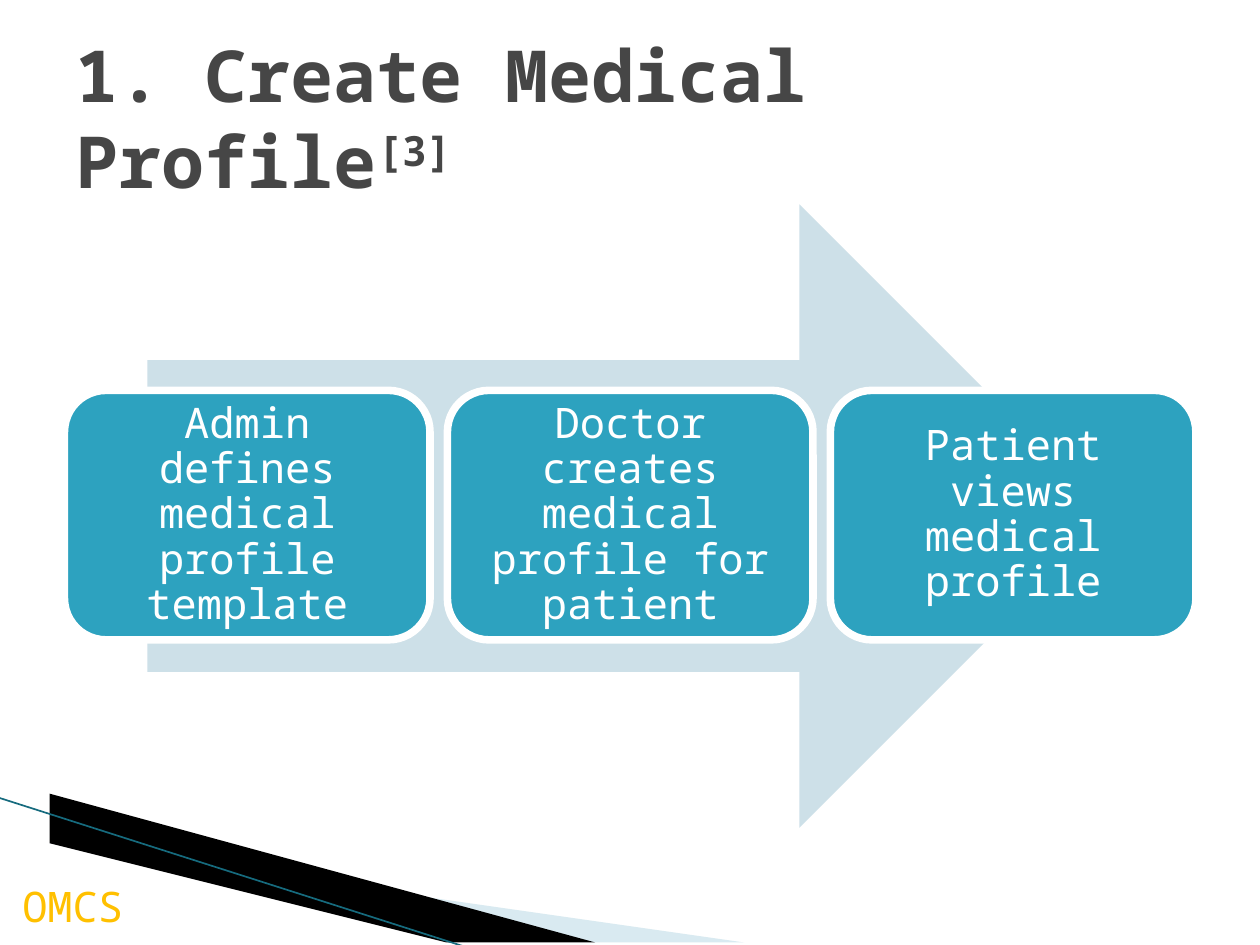
from lxml import etree
from pptx import Presentation
from pptx import util as u
from pptx.dml.color import RGBColor
from pptx.enum import shapes, text
from pptx.oxml.ns import qn
from pptx.util import Cm

FONT = "Noto Sans Mono"
WHITE = RGBColor(0xFF, 0xFF, 0xFF)
BLACK = RGBColor(0x00, 0x00, 0x00)
GREY = RGBColor(0x46, 0x46, 0x46)
AMBER = RGBColor(0xFF, 0xC0, 0x00)
TEAL = RGBColor(0x2D, 0xA2, 0xBF)
DARK_TEAL = RGBColor(0x16, 0x6B, 0x7E)
PALE_BLUE = RGBColor(0xCD, 0xE0, 0xE8)
SKY = RGBColor(0xA0, 0xCB, 0xDC)

STEPS = [
    "Admin defines medical profile template",
    "Doctor creates medical profile for patient",
    "Patient views medical profile",
]
STEP_LEFT, STEP_PITCH = 1.3, 7.72


def set_font(p, size, color, bold=False):
    p.font.name = FONT
    p.font.size = u.Pt(size)
    p.font.color.rgb = color
    p.font.bold = bold


def add_wedge(slide, points, color, opacity=None):
    builder = slide.shapes.build_freeform(*points[0], scale=Cm(1))
    builder.add_line_segments(points[1:], close=True)
    sp = builder.convert_to_shape()
    sp.shadow.inherit = False
    sp.fill.solid()
    sp.fill.fore_color.rgb = color
    sp.line.fill.background()
    if opacity is not None:
        clr = sp.fill._xPr.find(qn("a:solidFill"))[0]
        etree.SubElement(clr, qn("a:alpha")).set("val", str(opacity * 1000))


def add_edge(slide, x1, y1, x2, y2):
    line = slide.shapes.add_connector(
        shapes.MSO_CONNECTOR.STRAIGHT, Cm(x1), Cm(y1), Cm(x2), Cm(y2))
    line.line.color.rgb = DARK_TEAL
    line.line.width = u.Pt(0.95)
    etree.SubElement(line._element.spPr, qn("a:effectLst"))


def add_shape(slide, kind, left, top, width, height, color):
    sp = slide.shapes.add_shape(kind, Cm(left), Cm(top), Cm(width), Cm(height))
    sp.shadow.inherit = False
    sp.fill.solid()
    sp.fill.fore_color.rgb = color
    sp.line.fill.background()
    return sp


def add_step(slide, left, label):
    sp = add_shape(slide, shapes.MSO_SHAPE.ROUNDED_RECTANGLE,
                   left, 7.87, 7.37, 5.03, TEAL)
    sp.line.color.rgb = WHITE
    sp.line.width = u.Pt(4.33)
    tf = sp.text_frame
    tf.word_wrap = True
    tf.vertical_anchor = text.MSO_ANCHOR.MIDDLE
    tf.margin_left = tf.margin_right = Cm(0.25)
    tf.margin_top = tf.margin_bottom = Cm(0.25)
    p = tf.paragraphs[0]
    p.text = label
    p.alignment = text.PP_ALIGN.CENTER
    p.line_spacing = 0.9
    set_font(p, 24, WHITE)


def add_text(slide, left, top, width, height, label, size, color,
             bold=False, wrap=True):
    box = slide.shapes.add_textbox(Cm(left), Cm(top), Cm(width), Cm(height))
    tf = box.text_frame
    tf.word_wrap = wrap
    p = tf.paragraphs[0]
    p.add_run().text = label
    set_font(p, size, color, bold)
    return tf


def main():
    prs = Presentation()
    prs.slide_width, prs.slide_height = Cm(25.4), Cm(19.05)
    slide = prs.slides.add_slide(prs.slide_layouts[6])

    # Corner decoration
    add_wedge(slide, [(1.4, 16.53), (15.11, 19.08), (11.58, 19.08),
                      (1.4, 16.51)], SKY, opacity=40)
    add_wedge(slide, [(1.35, 16.48), (11.61, 19.08), (9.45, 19.1),
                      (1.37, 16.51)], BLACK)
    add_edge(slide, -0.03, 16.08, 9.42, 19.1)
    add_text(slide, 0.2, 17.63, 3, 1.27, "OMCS", 24, AMBER, wrap=False)

    # Process arrow with its steps
    add_shape(slide, shapes.MSO_SHAPE.RIGHT_ARROW,
              2.97, 4.12, 19.43, 12.57, PALE_BLUE)
    for i, label in enumerate(STEPS):
        add_step(slide, STEP_LEFT + i * STEP_PITCH, label)

    # Title with raised reference mark
    tf = add_text(slide, 1.27, 0.76, 22.86, 3.18,
                  "1. Create Medical Profile", 41, GREY, bold=True)
    tf.vertical_anchor = text.MSO_ANCHOR.MIDDLE
    r = tf.paragraphs[0].add_run()
    r.text = "[3]"
    r.font._element.set("baseline", "30000")

    prs.save("out.pptx")


if __name__ == "__main__":
    main()
